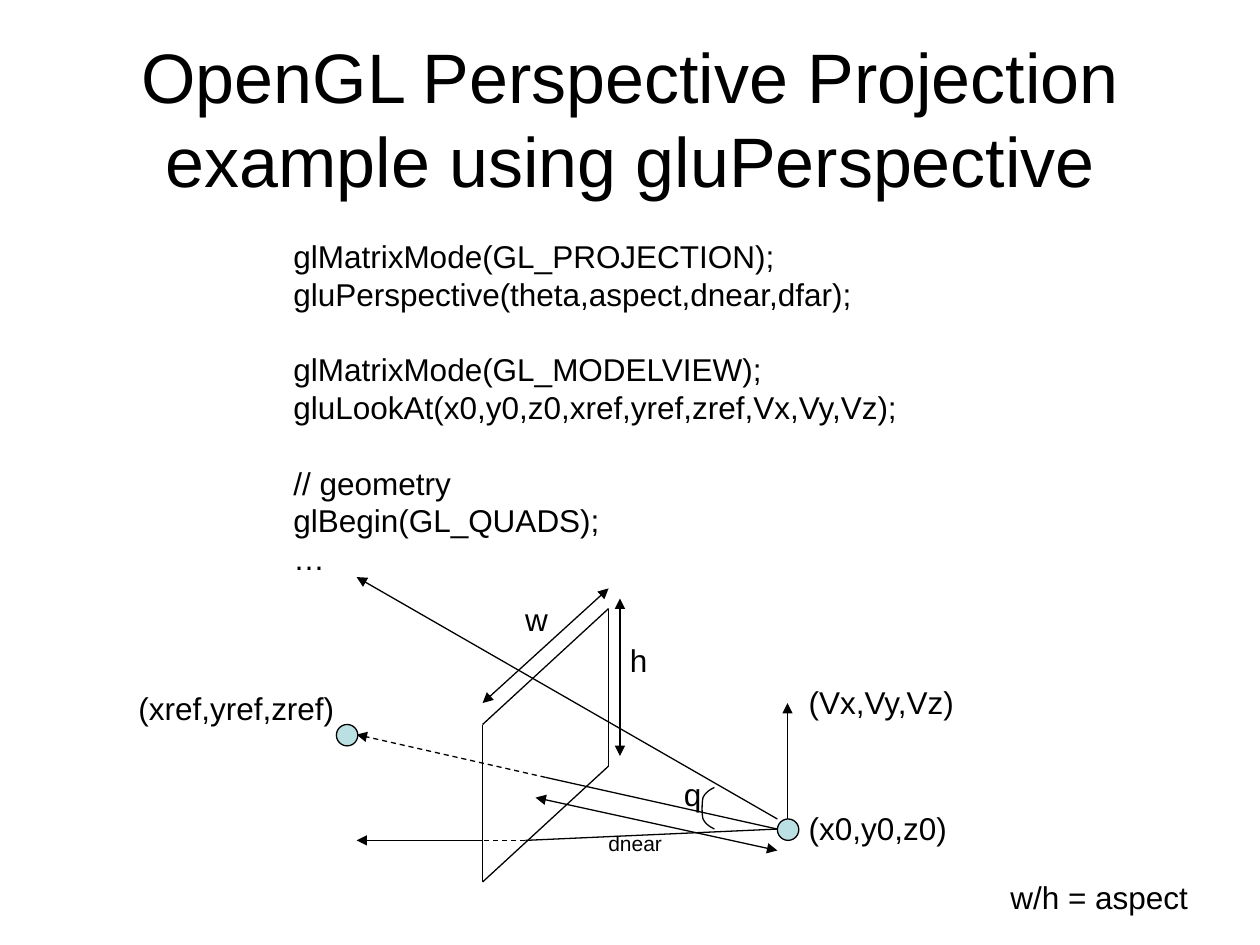
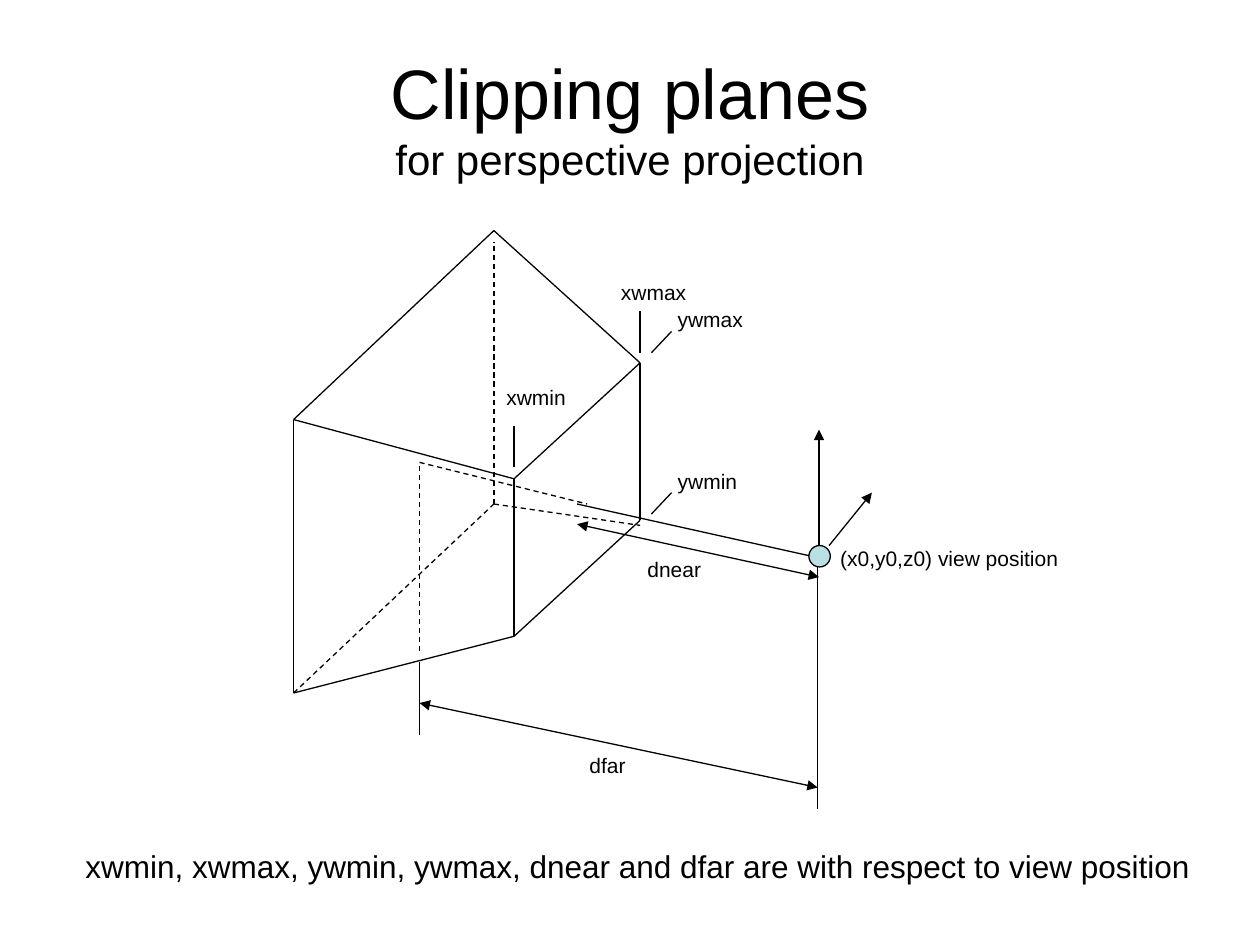
from pptx import Presentation
from pptx import util as u
from pptx.dml.color import RGBColor
from pptx.enum import dml, shapes, text
from pptx.oxml.ns import qn
from lxml import etree

BLACK = RGBColor(0x00, 0x00, 0x00)
PALE_TEAL = RGBColor(0xBB, 0xE0, 0xE3)
LINE_WIDTH = u.Pt(0.75)
DOT = 0.17
LABEL_SLACK = 0.04


def curve(start, ctrl1, ctrl2, end, steps=8):
    points = []
    for i in range(steps + 1):
        t = i / steps
        weights = ((1 - t) ** 3, 3 * t * (1 - t) ** 2, 3 * t * t * (1 - t), t ** 3)
        points.append(tuple(sum(w * p[axis] for w, p in zip(weights, (start, ctrl1, ctrl2, end)))
                            for axis in (0, 1)))
    return points


class Deck:
    def __init__(self):
        self.prs = Presentation()
        self.prs.slide_width, self.prs.slide_height = u.Inches(10), u.Inches(7.5)
        self.s = None

    def style(self, r, size):
        fmt = {"name": "Arial", "size": u.Pt(size), "bold": False}
        for key, value in fmt.items():
            setattr(r.font, key, value)
        r.font.color.rgb = BLACK

    def outline(self, sp):
        sp.line.color.rgb = BLACK
        sp.line.width = LINE_WIDTH

    def slide(self, top, height, parts):
        self.s = self.prs.slides.add_slide(self.prs.slide_layouts[5])
        sp = self.s.shapes.title
        box = {"left": 0.5, "top": top, "width": 9, "height": height}
        for key, value in box.items():
            setattr(sp, key, u.Inches(value))
        tf = sp.text_frame
        tf.word_wrap = True
        tf.auto_size = text.MSO_AUTO_SIZE.NONE
        tf.vertical_anchor = text.MSO_ANCHOR.MIDDLE
        p = tf.paragraphs[0]
        p.alignment = text.PP_ALIGN.CENTER
        for i, (words, size) in enumerate(parts):
            if i:
                p.add_line_break()
            r = p.add_run()
            r.text = words
            self.style(r, size)

    def label(self, x, y, w, words, size=18):
        blocks = [block.split("\n") for block in words.split("\n\n")]
        rows = sum(map(len, blocks)) + len(blocks) - 1
        pitch = size * 1.2
        sp = self.s.shapes.add_textbox(u.Inches(x), u.Inches(y), u.Inches(w + LABEL_SLACK),
                                       u.Inches(0.1 + rows * pitch / 72))
        tf = sp.text_frame
        tf.word_wrap = False
        tf.auto_size = text.MSO_AUTO_SIZE.NONE
        for b, block in enumerate(blocks):
            for i, row in enumerate(block):
                p = tf.paragraphs[0] if b == i == 0 else tf.add_paragraph()
                p.alignment = text.PP_ALIGN.LEFT
                if b and i == 0:
                    p.space_before = u.Pt(pitch)
                r = p.add_run()
                r.text = row
                self.style(r, size)

    def line(self, start, end, arrows="", dashed=False):
        sp = self.s.shapes.add_connector(shapes.MSO_CONNECTOR.STRAIGHT,
                                         *map(u.Inches, (*start, *end)))
        self.outline(sp)
        if dashed:
            sp.line.dash_style = dml.MSO_LINE.DASH
        ln = sp.line._get_or_add_ln()
        for mark, tag in (("<", "a:headEnd"), (">", "a:tailEnd")):
            if mark in arrows:
                etree.SubElement(ln, qn(tag)).set("type", "triangle")
        etree.SubElement(sp._element.spPr, qn("a:effectLst"))

    def polyline(self, *points, dashed=False):
        for start, end in zip(points, points[1:]):
            self.line(start, end, dashed=dashed)

    def dot(self, x, y):
        sp = self.s.shapes.add_shape(shapes.MSO_SHAPE.OVAL,
                                     *map(u.Inches, (x, y, DOT, DOT)))
        sp.shadow.inherit = False
        sp.fill.solid()
        sp.fill.fore_color.rgb = PALE_TEAL
        self.outline(sp)

    def arc(self, points):
        start, *rest = [(u.Inches(x), u.Inches(y)) for x, y in points]
        builder = self.s.shapes.build_freeform(*start)
        builder.add_line_segments(rest, close=False)
        sp = builder.convert_to_shape()
        sp.shadow.inherit = False
        sp.fill.background()
        self.outline(sp)


CODE = """glMatrixMode(GL_PROJECTION);
gluPerspective(theta,aspect,dnear,dfar);

glMatrixMode(GL_MODELVIEW);
gluLookAt(x0,y0,z0,xref,yref,zref,Vx,Vy,Vz);

// geometry
glBegin(GL_QUADS);
…"""


def perspective_slide(d):
    d.slide(0.21, 1.44, [("OpenGL Perspective Projection example using gluPerspective", 40)])
    d.label(2.23, 1.83, 5.02, CODE)
    eye = (6.17, 6.58)
    d.line((6.25, 6.58), (6.25, 5.58), ">")
    d.line((4.33, 6.17), (2.83, 5.83), ">", dashed=True)
    d.dot(2.67, 5.75)
    d.dot(6.17, 6.5)

    near_plane = [(3.83, 5.75), (3.83, 7), (4.83, 6.08), (4.83, 4.83)]
    d.polyline(*near_plane, near_plane[0])
    d.line(eye, (4.33, 6.17))
    d.line((4.25, 6.33), (6.17, 6.75), "<>")
    d.line((6.17, 6.5), (2.83, 4.58), ">")
    d.line(eye, (4.17, 6.67))
    d.line((4.17, 6.67), (3.83, 6.67), dashed=True)
    d.line((3.83, 6.67), (2.83, 6.67), ">")
    d.line((3.83, 5.58), (4.83, 4.67), "<>")
    d.line((4.92, 6), (4.92, 4.75), "<>")

    d.arc(curve((5.67, 6.58), (5.63, 6.56), (5.6, 6.54), (5.58, 6.5))
          + curve((5.58, 6.5), (5.57, 6.46), (5.57, 6.38), (5.58, 6.33))[1:]
          + curve((5.58, 6.33), (5.6, 6.29), (5.63, 6.27), (5.67, 6.25))[1:])

    for x, y, w, words in [
        (6.32, 6.37, 1.3, "(x0,y0,z0)"),
        (6.32, 5.37, 1.38, "(Vx,Vy,Vz)"),
        (1, 5.42, 1.75, "(xref,yref,zref)"),
        (5.33, 6.1, 0.35, "q"),
        (4.07, 4.71, 0.38, "w"),
        (4.9, 5.04, 0.34, "h"),
        (7.92, 6.92, 1.61, "w/h = aspect"),
    ]:
        d.label(x, y, w, words)
    d.label(4.73, 6.54, 0.62, "dnear", 12)


def clipping_slide(d):
    d.slide(0.3, 1.25, [("Clipping planes", 40), ("for perspective projection", 24)])
    d.line((6.5, 4.41), (6.5, 3.41), ">")
    d.line((6.58, 4.33), (6.92, 3.91), ">")
    d.line((6.49, 4.5), (6.49, 6.42))
    d.dot(6.42, 4.33)

    near_plane = [(4.08, 3.8), (4.08, 5.05), (5.08, 4.13), (5.08, 2.88)]
    far_left_top, far_left_bottom = (2.33, 3.33), (2.33, 5.5)
    far_right_top, far_right_bottom = (3.92, 1.83), (3.92, 4)
    d.polyline(*near_plane, near_plane[0])
    d.polyline(near_plane[0], far_left_top, far_left_bottom, near_plane[1])
    d.polyline(far_left_top, far_right_top, near_plane[3])
    d.polyline(far_left_bottom, far_right_bottom, (3.92, 1.92), dashed=True)
    d.line(far_right_bottom, (5.08, 4.17), dashed=True)

    d.line((6.42, 4.41), (4.58, 4))
    d.polyline((3.33, 5.17), (3.33, 3.67), (4.66, 4), dashed=True)
    d.line((3.33, 5.25), (3.33, 5.83))
    d.line((4.58, 4.16), (6.5, 4.58), "<>")
    d.line((3.33, 5.58), (6.49, 6.25), "<>")

    for x, y in [(5.08, 2.47), (4.08, 3.38)]:
        d.line((x, y), (x, y + 0.33))
    for y in (2.8, 4.08):
        d.line((5.17, y), (5.33, y - 0.17))

    for x, y, w, words in [
        (6.57, 4.28, 1.93, "(x0,y0,z0) view position"),
        (5.04, 4.37, 0.62, "dnear"),
        (4.83, 2.17, 0.72, "xwmax"),
        (3.92, 3, 0.67, "xwmin"),
        (5.28, 2.38, 0.72, "ywmax"),
        (5.28, 3.67, 0.67, "ywmin"),
        (4.58, 5.92, 0.48, "dfar"),
    ]:
        d.label(x, y, w, words, 12)
    d.label(0.58, 6.67, 8.96,
            "xwmin, xwmax, ywmin, ywmax, dnear and dfar are with respect to view position")


def main():
    d = Deck()
    perspective_slide(d)
    clipping_slide(d)
    d.prs.save("out.pptx")


if __name__ == "__main__":
    main()
